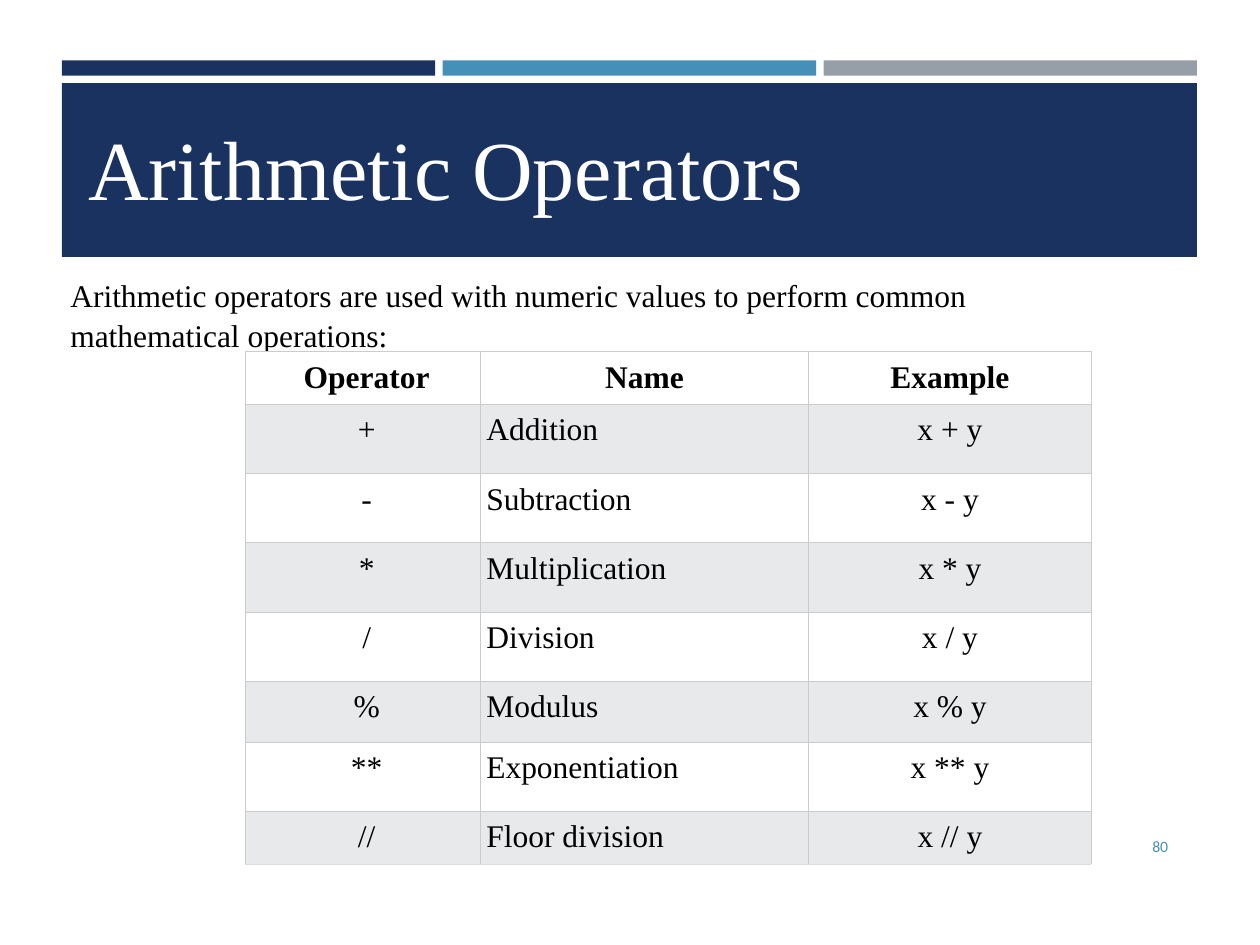
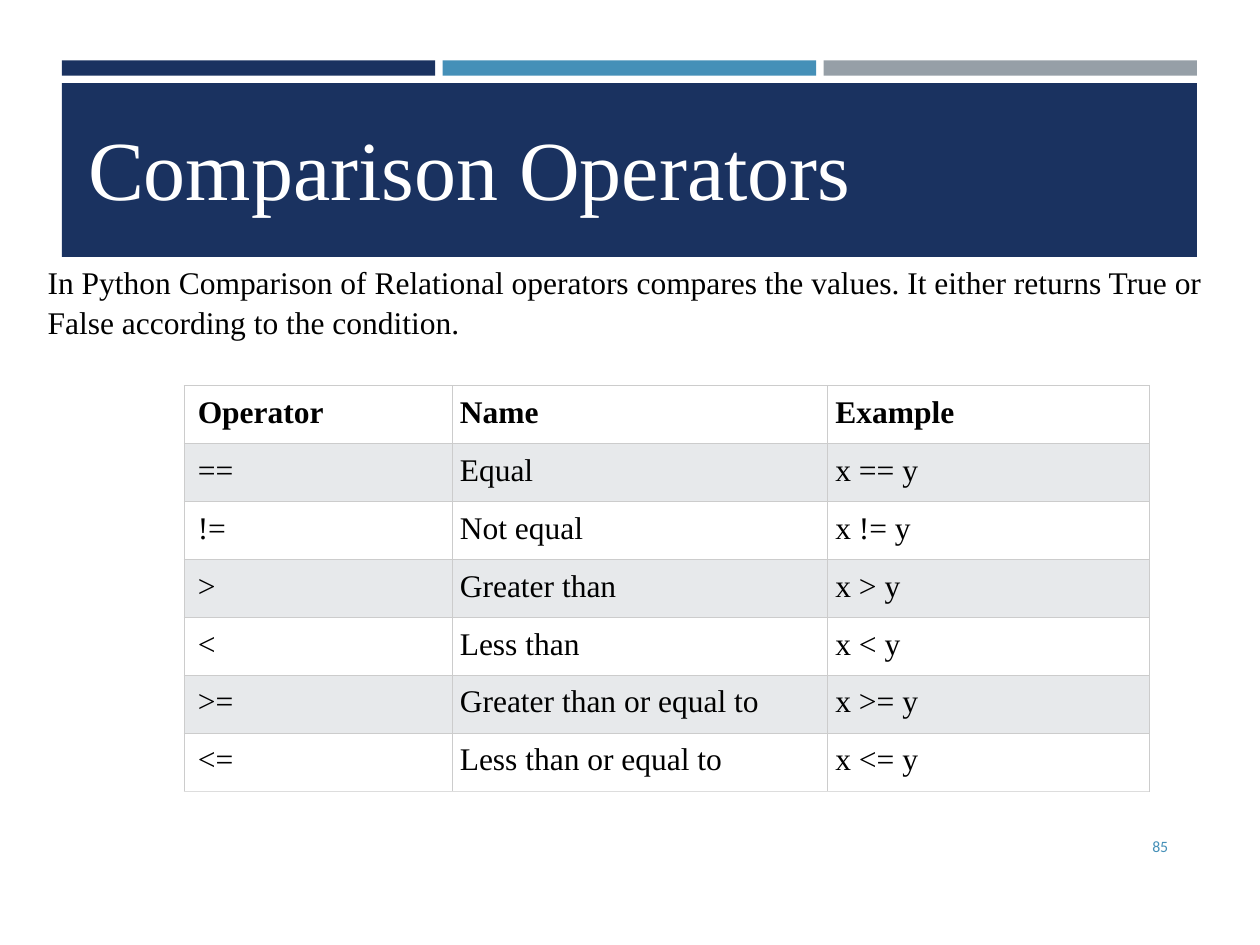
from lxml import etree
from pptx import Presentation
from pptx.dml.color import RGBColor
from pptx.enum import shapes, text
from pptx.oxml import ns
from pptx.util import Inches, Pt

NAVY, BLUE, GREY = "1A3260", "4590B8", "969FA7"
WHITE, BLACK, STRIPE = "FFFFFF", "000000", "E7E9EB"
BORDER, LAST_BORDER = "CCCCCC", "DDDDDD"
SERIF, SANS = "Times New Roman", "Calibri"
LEFT, CENTER, RIGHT = text.PP_ALIGN.LEFT, text.PP_ALIGN.CENTER, text.PP_ALIGN.RIGHT
LINE_SPACING = 1.06
BAND_LEFT, BAND_WIDTH, BAND_GAP = 0.49, 9.01, 0.06
HEADINGS = ("Operator", "Name", "Example")


def rgb(color):
    return RGBColor.from_string(color)


def add_band(s, left, top, width, height, color):
    band = s.shapes.add_shape(shapes.MSO_SHAPE.RECTANGLE, Inches(left), Inches(top),
                              Inches(width), Inches(height))
    band.shadow.inherit = False
    band.fill.solid()
    band.fill.fore_color.rgb = rgb(color)
    band.line.fill.background()


def write(tf, words, size, color=BLACK, font=SERIF, bold=False, align=LEFT):
    """Put one run of styled text in the first paragraph of a text frame."""
    p = tf.paragraphs[0]
    p.alignment = align
    p.line_spacing = LINE_SPACING
    r = p.add_run()
    r.text = words
    r.font.size = Pt(size)
    r.font.name = font
    r.font.bold = bold
    r.font.color.rgb = rgb(color)


def add_text(s, left, top, width, height, words, size,
             anchor=text.MSO_ANCHOR.TOP, **style):
    sp = s.shapes.add_textbox(Inches(left), Inches(top), Inches(width), Inches(height))
    tf = sp.text_frame
    tf.word_wrap = True
    tf.vertical_anchor = anchor
    write(tf, words, size, **style)


def set_borders(cell, bottom):
    tc_pr = cell._tc.get_or_add_tcPr()
    for side, color in zip("LRTB", (BORDER, BORDER, BORDER, bottom)):
        ln = etree.SubElement(tc_pr, ns.qn(f"a:ln{side}"), w=str(Pt(0.5)))
        fill = etree.SubElement(ln, ns.qn("a:solidFill"))
        etree.SubElement(fill, ns.qn("a:srgbClr"), val=color)


def add_operator_table(s, left, top, widths, heights, operators, margin, aligns):
    """Draw a striped table; aligns holds one alignment for each body column.

    The headings are all centred when the first column is."""
    rows = [HEADINGS, *operators]
    frame = s.shapes.add_table(len(rows), len(widths), Inches(left), Inches(top),
                               Inches(sum(widths)), Inches(sum(heights)))
    table = frame.table
    table.horz_banding = False
    for column, width in zip(table.columns, widths):
        column.width = Inches(width)
    for i, (words, height) in enumerate(zip(rows, heights)):
        table.rows[i].height = Inches(height)
        for j, word in enumerate(words):
            cell = table.cell(i, j)
            cell.margin_left = Inches(0.11 if j == 0 else margin)
            cell.margin_right = cell.margin_top = cell.margin_bottom = Inches(margin)
            set_borders(cell, LAST_BORDER if i == len(rows) - 1 else BORDER)
            cell.fill.solid()
            cell.fill.fore_color.rgb = rgb(STRIPE if i % 2 else WHITE)
            write(cell.text_frame, word, 18, bold=i == 0,
                  align=aligns[0] if i == 0 else aligns[j])


def add_slide(prs, title, number):
    """Add a slide with the shared bands, title and slide number."""
    s = prs.slides.add_slide(prs.slide_layouts[6])
    width = (BAND_WIDTH - 2 * BAND_GAP) / 3
    for i, color in enumerate((NAVY, BLUE, GREY)):
        add_band(s, BAND_LEFT + i * (width + BAND_GAP), 0.48, width, 0.12, color)
    add_band(s, BAND_LEFT, 0.66, BAND_WIDTH, 1.38, NAVY)
    add_text(s, 0.6, 0.83, 8.51, 0.91, title, 48, color=WHITE)
    add_text(s, 8.53, 6.51, 0.84, 0.4, number, 9, anchor=text.MSO_ANCHOR.MIDDLE,
             color=BLUE, font=SANS, align=RIGHT)
    return s


def main():
    prs = Presentation()
    prs.slide_width, prs.slide_height = Inches(10), Inches(7.5)

    s = add_slide(prs, "Arithmetic Operators", "80")
    add_text(s, 0.46, 2.12, 8.51, 0.71,
             "Arithmetic operators are used with numeric values to perform common "
             "mathematical operations:", 18)
    arithmetic = [(sign, name, f"x {sign} y") for sign, name in (
        ("+", "Addition"), ("-", "Subtraction"), ("*", "Multiplication"),
        ("/", "Division"), ("%", "Modulus"), ("**", "Exponentiation"),
        ("//", "Floor division"))]
    add_operator_table(s, 1.95, 2.79, (1.86, 2.61, 2.24),
                       (0.41, *[0.55] * 4, 0.48, 0.55, 0.41),
                       arithmetic, 0.05, (CENTER, LEFT, CENTER))

    s = add_slide(prs, "Comparison Operators", "85")
    add_text(s, 0.28, 2.02, 9.39, 1.01,
             "In Python Comparison of Relational operators compares the values. "
             "It either returns True or False according to the condition.", 18)
    comparison = [(sign, name, f"x {sign} y") for sign, name in (
        ("==", "Equal"), ("!=", "Not equal"), (">", "Greater than"),
        ("<", "Less than"), (">=", "Greater than or equal to"),
        ("<=", "Less than or equal to"))]
    add_operator_table(s, 1.46, 3.06, (2.13, 2.98, 2.55), [0.46] * 7,
                       comparison, 0.06, (LEFT, LEFT, LEFT))

    prs.save("out.pptx")


if __name__ == "__main__":
    main()
